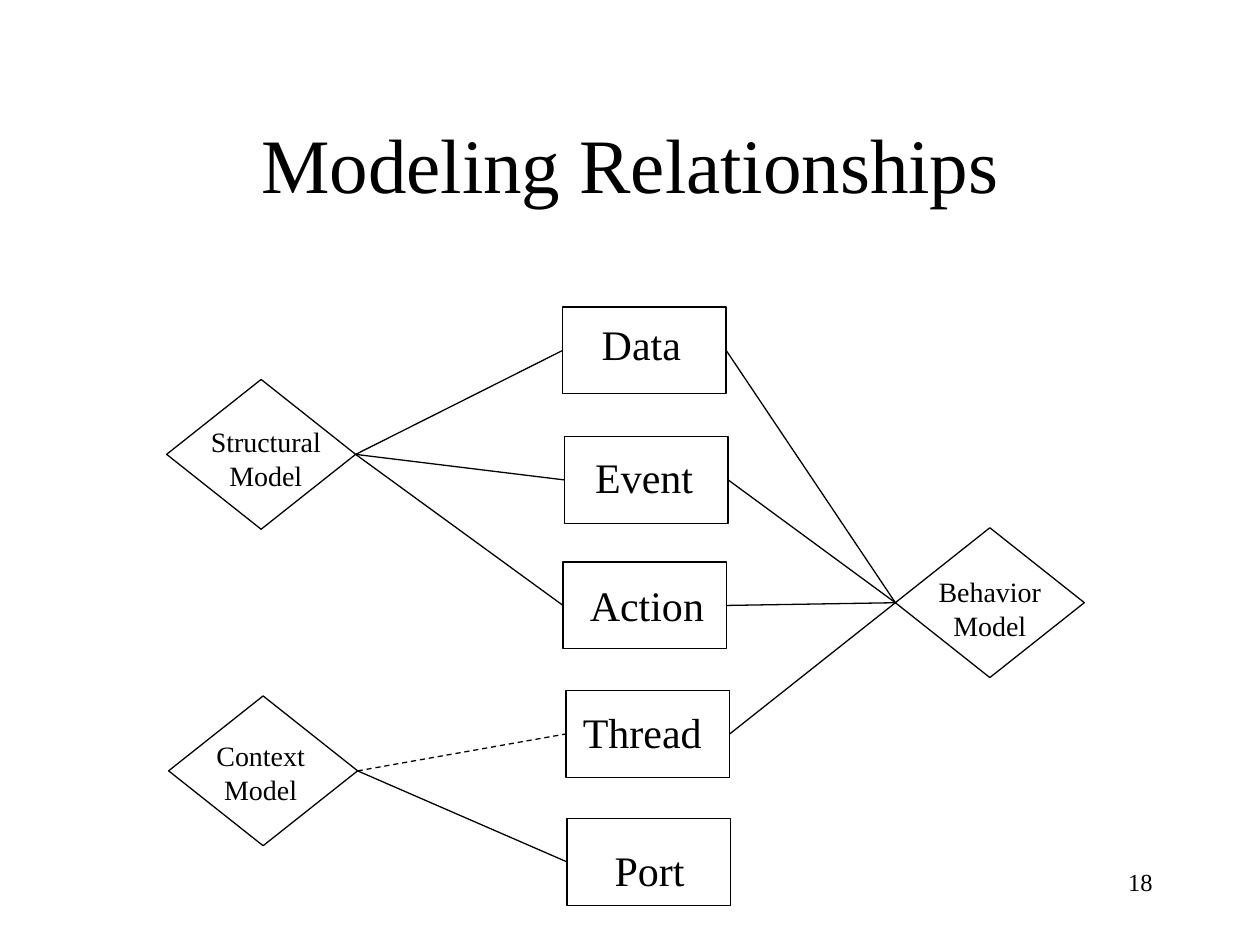
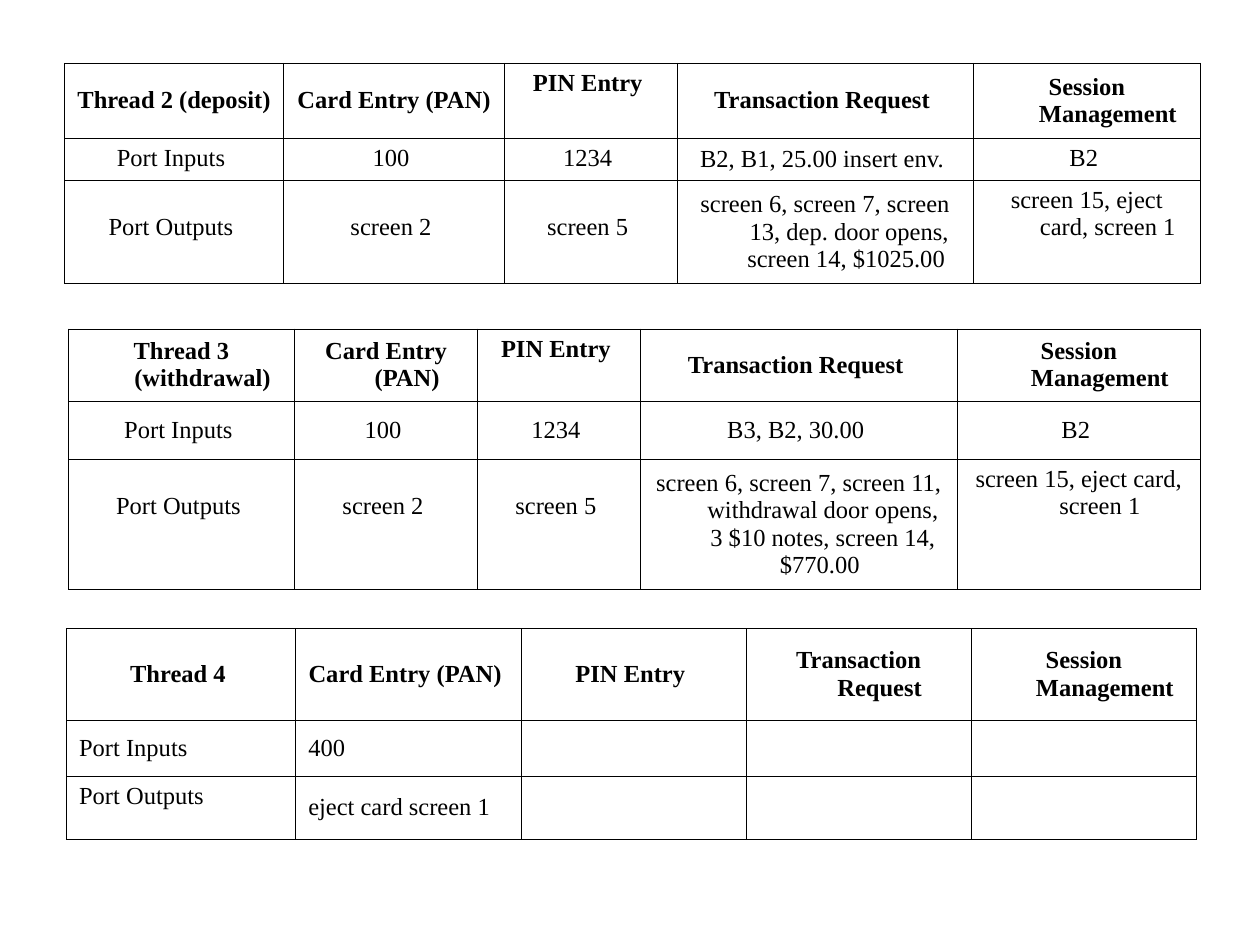
"""Build the modeling relationships diagram and the thread tables."""
from dataclasses import dataclass

from lxml.etree import SubElement as Sub
from pptx import Presentation
from pptx.dml.color import RGBColor as RGB
from pptx.enum.dml import MSO_LINE as Dash
from pptx.enum.shapes import MSO_CONNECTOR as Conn, MSO_SHAPE as Shape
from pptx.enum.text import MSO_ANCHOR as Anchor, MSO_AUTO_SIZE as Auto, PP_ALIGN as Align
from pptx.oxml.ns import qn
from pptx.util import Cm, Pt


@dataclass(frozen=True)
class Theme:
    font: str = "Times New Roman"
    ink: RGB = RGB(0, 0, 0)
    title: Pt = Pt(44)
    entity: Pt = Pt(24)
    model: Pt = Pt(16)
    small: Pt = Pt(14)
    line: Pt = Pt(0.75)
    border: Pt = Pt(0.34)
    hang: Cm = Cm(0.97)


theme = Theme()


def style(tf, size, align, bold=False):
    for p in tf.paragraphs:
        p.alignment = align
        for r in p.runs:
            r.font.name, r.font.size, r.font.bold = theme.font, size, bold
            r.font.color.rgb = theme.ink


def add_text(s, text, box, size, align=Align.CENTER, wrap=False, anchor=Anchor.TOP):
    tf = s.shapes.add_textbox(*map(Cm, box)).text_frame
    tf.text = text
    tf.word_wrap = wrap
    tf.auto_size = Auto.NONE if wrap else Auto.SHAPE_TO_FIT_TEXT
    tf.vertical_anchor = anchor
    style(tf, size, align)


prs = Presentation()
prs.slide_width, prs.slide_height = Cm(25.4), Cm(19.05)
blank = prs.slide_layouts[6]

s = prs.slides.add_slide(blank)
add_text(s, "18", (18.21, 17.35, 5.28, 1.27), theme.small, Align.RIGHT, wrap=True)
add_text(s, "Modeling Relationships", (1.91, 1.7, 21.6, 3.18), theme.title,
         wrap=True, anchor=Anchor.MIDDLE)

entity_size, model_size = (3.3, 1.75), (3.81, 3.02)
nodes = [
    ("Data", (11.34, 6.19), (11.88, 6.29, 2.13)),
    ("Event", (11.38, 8.8), (11.75, 8.97, 2.51)),
    ("Action", (11.35, 11.33), (11.64, 11.56, 2.85)),
    ("Thread", (11.41, 13.92), (11.5, 14.12, 2.92)),
    ("Port", (11.43, 16.5), (12.14, 16.89, 1.97)),
    ("Structural\nModel", (3.36, 7.65), (4.0, 8.44, 2.72)),
    ("Context\nModel", (3.4, 14.03), (4.11, 14.77, 2.29)),
    ("Behavior\nModel", (18.05, 10.64), (18.67, 11.46, 2.57)),
]
shapes = {}
for name, corner, label in nodes:
    is_model = name.endswith("Model")
    kind = Shape.DIAMOND if is_model else Shape.RECTANGLE
    size = model_size if is_model else entity_size
    sp = s.shapes.add_shape(kind, *map(Cm, corner + size))
    sp.shadow.inherit = False
    sp.fill.background()
    sp.line.color.rgb, sp.line.width = theme.ink, theme.line
    shapes[name.split("\n")[0]] = sp

links = {
    "Structural": ["Data", "Event", "Action"],
    "Behavior": ["Data", "Event", "Action", "Thread"],
    "Context": ["Port", "Thread"],
}
for model, entities in links.items():
    model_side, entity_side = (1, 3) if model == "Behavior" else (3, 1)
    for entity in entities:
        c = s.shapes.add_connector(Conn.STRAIGHT, 0, 0, 0, 0)
        c.begin_connect(shapes[model], model_side)
        c.end_connect(shapes[entity], entity_side)
        c.line.color.rgb, c.line.width = theme.ink, theme.line
        if (model, entity) == ("Context", "Thread"):
            c.line.dash_style = Dash.DASH
        Sub(c._element.spPr, qn("a:effectLst"))

for name, corner, label in nodes:
    if name.endswith("Model"):
        add_text(s, name, label + (1.63,), theme.model)
    else:
        add_text(s, name, label + (1.27,), theme.entity, Align.LEFT)

s = prs.slides.add_slide(blank)
steps = ["Card Entry (PAN)", "PIN Entry", "Transaction Request", "Session Management"]
closing = "screen 15, eject card, screen 1"
tables = [
    dict(at=(1.3, 1.27), cols=(4.42, 4.45, 3.48, 5.97, 4.58), rows=(1.51, 0.85, 2.08),
         body=Align.CENTER, anchors=("MMTMM", "TTTMT", "DDDMT"),
         cells=[["Thread 2 (deposit)", *steps],
                ["Port Inputs", "100", "1234", "B2, B1, 25.00 insert env.", "B2"],
                ["Port Outputs", "screen 2", "screen 5",
                 "screen 6, screen 7, screen 13, dep. door opens, screen 14, $1025.00",
                 closing]]),
    dict(at=(1.38, 6.63), cols=(4.56, 3.69, 3.28, 6.39, 4.9), rows=(1.45, 1.17, 2.63),
         body=Align.CENTER, anchors=("MMTMM", "MMMMM", "DDDMT"),
         cells=[["Thread 3 (withdrawal)", *steps],
                ["Port Inputs", "100", "1234", "B3, B2, 30.00", "B2"],
                ["Port Outputs", "screen 2", "screen 5",
                 "screen 6, screen 7, screen 11, withdrawal door opens, "
                 "3 $10 notes, screen 14, $770.00", closing]]),
    dict(at=(1.34, 12.67), cols=(4.62, 4.54, 4.54, 4.54, 4.54), rows=(1.84, 1.13, 1.27),
         body=Align.LEFT, anchors=("MMMMM", "MMMMM", "TMMMM"),
         cells=[["Thread 4", *steps],
                ["Port Inputs", "400", "", "", ""],
                ["Port Outputs", "eject card screen 1", "", "", ""]]),
]
for t in tables:
    extent = (sum(t["cols"]), sum(t["rows"]))
    tbl = s.shapes.add_table(3, 5, *map(Cm, t["at"] + extent)).table
    tbl.first_row = tbl.horz_banding = False
    for col, width in zip(tbl.columns, t["cols"]):
        col.width = Cm(width)
    for i, (row, height) in enumerate(zip(tbl.rows, t["rows"])):
        row.height = Cm(height)
        align = t["body"] if i else Align.CENTER
        for cell, text, anchor in zip(row.cells, t["cells"][i], t["anchors"][i]):
            cell.text = text + " " if text and align == Align.CENTER else text
            cell.vertical_anchor = Anchor.MIDDLE if anchor == "M" else Anchor.TOP
            cell.margin_top = Cm(0.68 if anchor == "D" else 0.13)
            style(cell.text_frame, theme.small, align, bold=i == 0)
            p = cell.text_frame.paragraphs[0]
            p.font.size = theme.small
            pPr = p._p.get_or_add_pPr()
            pPr.set("marL", str(theme.hang))
            pPr.set("indent", str(-theme.hang))
            tcPr = cell._tc.get_or_add_tcPr()
            for side in ("lnL", "lnR", "lnT", "lnB"):
                ln = Sub(tcPr, qn(f"a:{side}"), w=str(theme.border))
                Sub(Sub(ln, qn("a:solidFill")), qn("a:srgbClr"), val=str(theme.ink))
            cell.fill.background()

prs.save("out.pptx")
